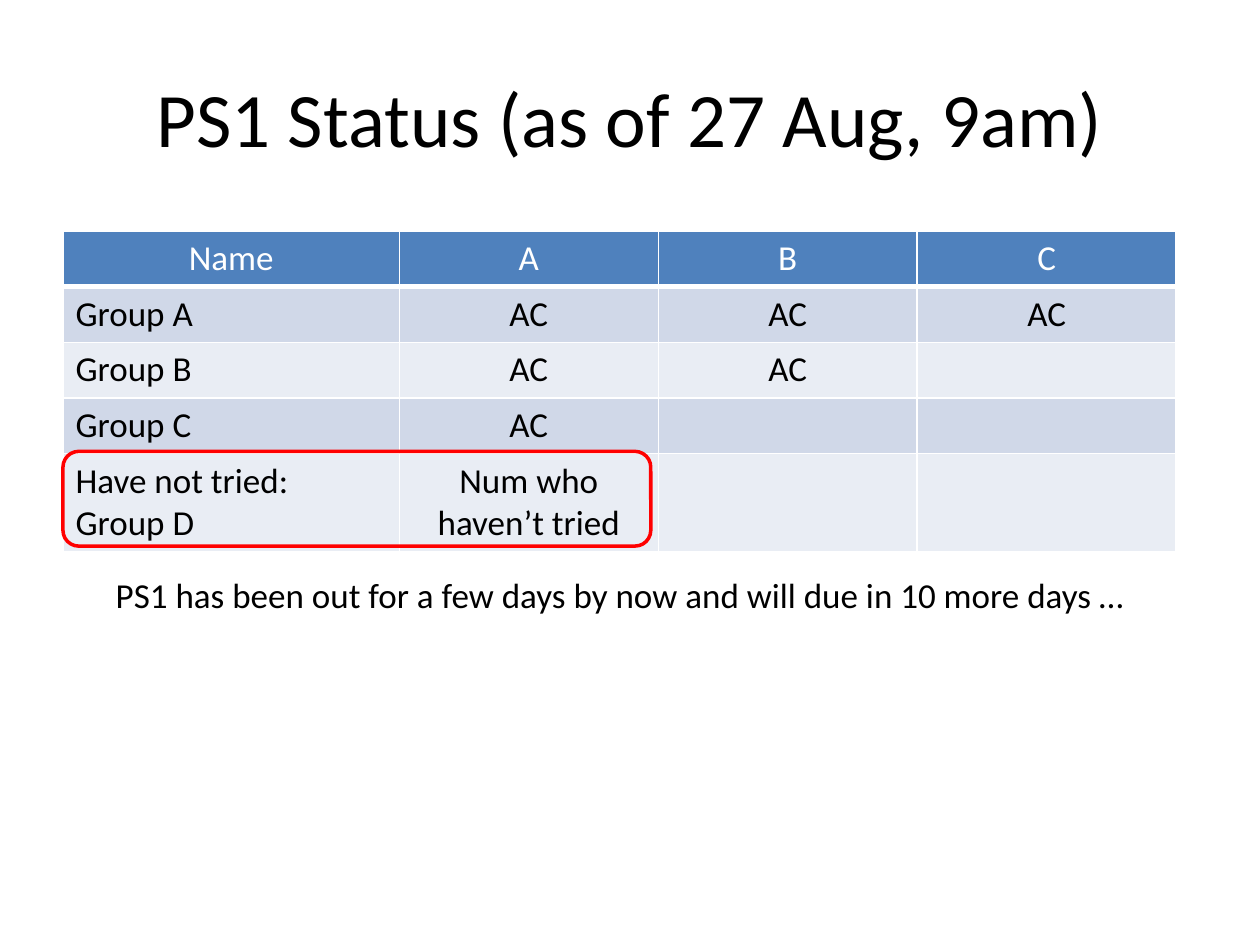
from dataclasses import dataclass

from lxml import etree
from pptx import Presentation
from pptx.dml.color import RGBColor
from pptx.enum.shapes import MSO_SHAPE
from pptx.enum.text import MSO_ANCHOR, MSO_AUTO_SIZE, PP_ALIGN
from pptx.oxml.ns import qn
from pptx.util import Cm, Pt

LEFT, CENTER = PP_ALIGN.LEFT, PP_ALIGN.CENTER
MIDDLE = MSO_ANCHOR.MIDDLE
GROW = MSO_AUTO_SIZE.SHAPE_TO_FIT_TEXT
ROUNDED = MSO_SHAPE.ROUNDED_RECTANGLE


@dataclass(frozen=True)
class Theme:
    font: str = "Calibri"
    title_size: int = 44
    body_size: int = 20
    text: str = "000000"
    white: str = "FFFFFF"
    header: str = "4F81BD"
    bands: tuple = ("D0D8E8", "E9EDF4")
    highlight: str = "FF0000"


theme = Theme()


def style(paragraph, size, color, alignment=CENTER):
    paragraph.alignment = alignment
    paragraph.font.name = theme.font
    paragraph.font.size = Pt(size)
    paragraph.font.bold = False
    paragraph.font.color.rgb = RGBColor.from_string(color)


def add_borders(cell, color, bottom_width):
    properties = cell._tc.get_or_add_tcPr()
    widths = {"a:lnL": 1, "a:lnR": 1, "a:lnT": 1, "a:lnB": bottom_width}
    for position, (tag, width) in enumerate(widths.items()):
        line = etree.Element(qn(tag), w=str(Pt(width)))
        fill = etree.SubElement(line, qn("a:solidFill"))
        etree.SubElement(fill, qn("a:srgbClr"), val=color)
        properties.insert(position, line)


presentation = Presentation()
presentation.slide_width, presentation.slide_height = Cm(25.4), Cm(19.05)
slide = presentation.slides.add_slide(presentation.slide_layouts[5])

# Title
title = slide.shapes.title
title.left, title.top, title.width, title.height = Cm(1.27), Cm(0.76), Cm(22.86), Cm(3.18)
title.text_frame.text = "PS1 Status (as of 27 Aug, 9am)"
title.text_frame.vertical_anchor = MIDDLE
style(title.text_frame.paragraphs[0], theme.title_size, theme.text)

# Status table
status_rows = [
    ("Name", "A", "B", "C"),
    ("Group A", "AC", "AC", "AC"),
    ("Group B", "AC", "AC", ""),
    ("Group C", "AC", "", ""),
    ("Have not tried:\vGroup D", "Num who haven’t tried", "", ""),
]
column_widths = [6.78] + [5.22] * 3
row_heights = [1.12] * 4 + [1.97]
table = slide.shapes.add_table(
    len(row_heights), len(column_widths), Cm(1.27), Cm(4.66),
    Cm(sum(column_widths)), Cm(sum(row_heights)),
).table
for column, width in zip(table.columns, column_widths):
    column.width = Cm(width)
for row, height in zip(table.rows, row_heights):
    row.height = Cm(height)

for row_index, texts in enumerate(status_rows):
    is_header = row_index == 0
    fill_color = theme.header if is_header else theme.bands[(row_index - 1) % 2]
    text_color = theme.white if is_header else theme.text
    for column_index, text in enumerate(texts):
        cell = table.cell(row_index, column_index)
        cell.text = text
        cell.fill.solid()
        cell.fill.fore_color.rgb = RGBColor.from_string(fill_color)
        alignment = LEFT if column_index == 0 and not is_header else CENTER
        style(cell.text_frame.paragraphs[0], theme.body_size, text_color, alignment)
        add_borders(cell, theme.white, 3 if is_header else 1)

# Deadline note
note = slide.shapes.add_textbox(Cm(1.07), Cm(11.43), Cm(22.86), Cm(1.11))
note.text_frame.word_wrap = True
note.text_frame.auto_size = GROW
note.text_frame.text = "PS1 has been out for a few days by now and will due in 10 more days …"
style(note.text_frame.paragraphs[0], theme.body_size, theme.text)

# Highlight around those who have not tried
highlight = slide.shapes.add_shape(ROUNDED, Cm(1.27), Cm(9.1), Cm(11.85), Cm(1.91))
highlight.shadow.inherit = False
highlight.fill.background()
highlight.line.color.rgb = RGBColor.from_string(theme.highlight)
highlight.line.width = Pt(2)

presentation.save("out.pptx")
